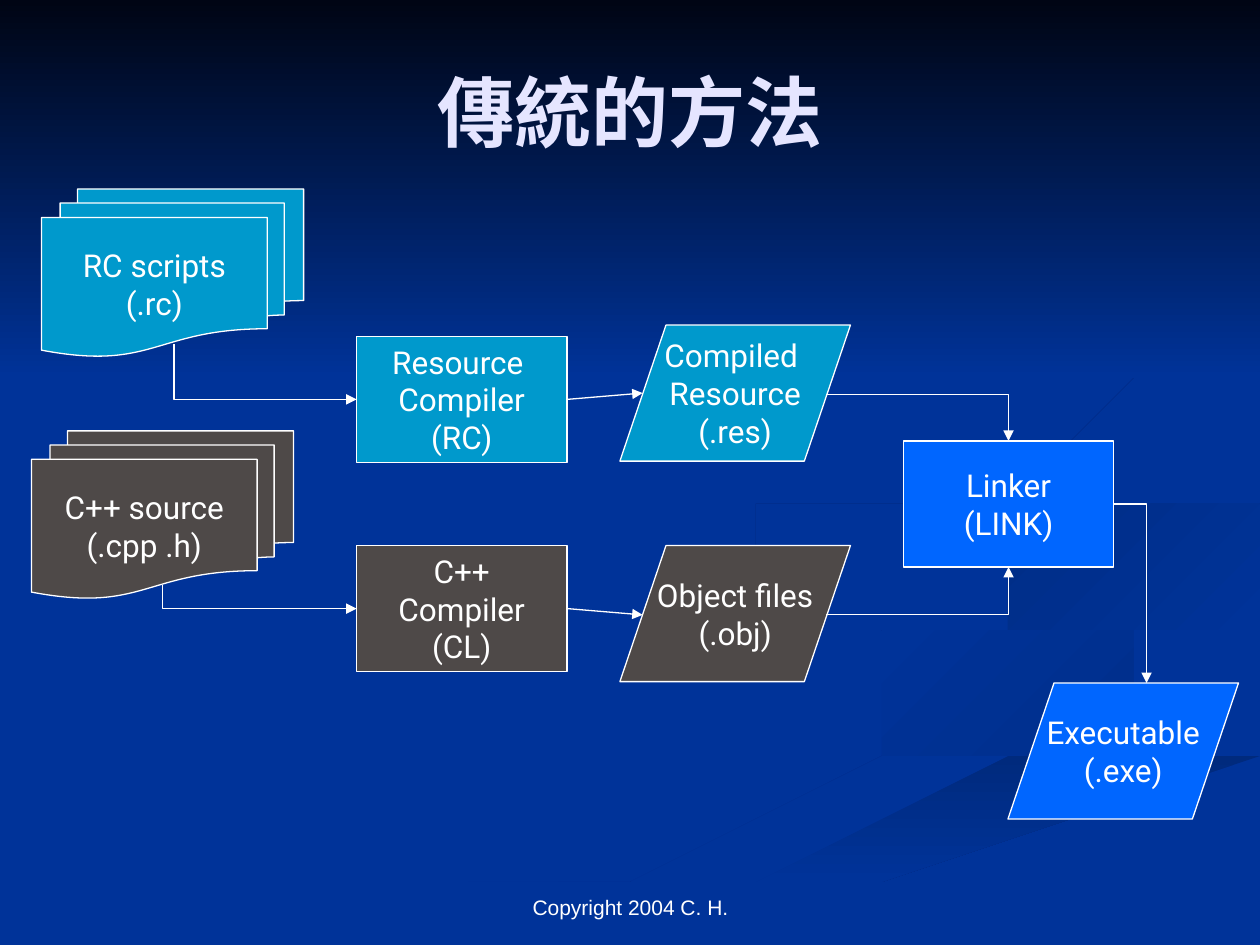
from lxml.etree import SubElement
from pptx import Presentation
from pptx.dml.color import RGBColor
from pptx.enum.shapes import MSO_CONNECTOR as Connector, MSO_SHAPE as Shape
from pptx.enum.text import MSO_ANCHOR as Anchor, PP_ALIGN as Align
from pptx.oxml.ns import qn
from pptx.util import Inches, Pt

COLORS = {
    "background": "003399", "night": "000514", "title": "E5E5FF", "text": "FFFFFF",
    "resource": "0099CC", "source": "4E4948", "link": "0066FF",
    "shade 1": "002E8B", "shade 2": "002A7D", "shade 3": "002D86", "shade 4": "002B82",
}

# Background ribbons: start colour, end colour, clockwise angle, outline
RIBBONS = [
    ("background", "shade 1", 0, [
        (7.8, 5.53), (6.6, 5.13), (5.75, 4.6), (5.8, 4.83), (7.4, 5.4), (7.86, 5.66),
        (7.3, 6.02), (4.6, 6.74), (3, 7.49), (3.6, 7.49), (5, 6.87), (7.6, 6.14), (8, 5.81)]),
    ("background", "shade 1", 45, [
        (9.43, 5.7), (9.05, 5.4), (7.6, 4.98), (7.24, 4.64), (7.55, 5.05), (8.8, 5.49),
        (9.18, 5.81), (8.94, 6.05)]),
    ("shade 2", "background", 90, [
        (5.03, 7.49), (5.7, 7.49), (7.2, 6.82), (9.98, 6.09), (9.98, 5.81), (7.6, 6.47),
        (6.3, 6.93)]),
    ("background", "background", 0, [
        (7.25, 4.64), (7.6, 4.98), (9.2, 5.47), (9.3, 5.9), (7.4, 6.43), (4.77, 7.49),
        (6.3, 6.93), (7.6, 6.47), (9.99, 5.81), (9.99, 5.38), (8.3, 4.98), (7.82, 4.6),
        (8.35, 4.3), (9.99, 4.02), (9.99, 3.87), (7.9, 4.22)]),
    ("shade 3", "background", 45, [
        (7.81, 4.6), (8.26, 4.96), (8.05, 4.72), (8.43, 4.48), (9.98, 4.2), (9.98, 4.02),
        (8.35, 4.3)]),
    ("shade 4", "background", 45, [
        (6.83, 4.3), (8.25, 4.02), (8.94, 3.44), (8.64, 2.91), (7.62, 2.33), (8.55, 2.85),
        (8.89, 3.35), (8.4, 3.78), (6.25, 4.26), (5.77, 4.62), (6.22, 5), (5.93, 4.7),
        (6.24, 4.44)]),
    ("night", "background", 90, [(0, 0), (0, 3.08), (10, 3.08), (10, 0)]),
]

SIZES = {
    Shape.FLOWCHART_MULTIDOCUMENT: (2.08, 1.33),
    Shape.FLOWCHART_PROCESS: (1.67, 1),
    Shape.FLOWCHART_DATA: (1.83, 1.08),
}
# name: (preset, left, top, fill, lines)
STEPS = {
    "scripts": (Shape.FLOWCHART_MULTIDOCUMENT, 0.33, 1.5, "resource", ["RC scripts", "(.rc)"]),
    "sources": (Shape.FLOWCHART_MULTIDOCUMENT, 0.25, 3.42, "source", ["C++ source", "(.cpp .h)"]),
    "rc": (Shape.FLOWCHART_PROCESS, 2.83, 2.67, "resource", ["Resource ", "Compiler", "(RC)"]),
    "cl": (Shape.FLOWCHART_PROCESS, 2.83, 4.33, "source", ["C++", "Compiler", "(CL)"]),
    "obj": (Shape.FLOWCHART_DATA, 4.92, 4.33, "source", ["Object files", "(.obj)"]),
    "res": (Shape.FLOWCHART_DATA, 4.92, 2.58, "resource", ["Compiled ", "Resource", "(.res)"]),
    "linker": (Shape.FLOWCHART_PROCESS, 7.17, 3.5, "link", ["Linker", "(LINK)"]),
    "exe": (Shape.FLOWCHART_DATA, 8, 5.42, "link", ["Executable", "(.exe)"]),
}

# (route, start, end, (step, side) joined at start, (step, side) joined at end)
ARROWS = [
    ("down first", (1.38, 2.73), (2.83, 3.17), None, ("rc", 1)),
    ("down first", (1.29, 4.64), (2.83, 4.83), None, ("cl", 1)),
    ("straight", (4.5, 3.17), (5.1, 3.12), ("rc", 3), None),
    ("straight", (4.5, 4.83), (5.1, 4.88), ("cl", 3), None),
    ("across first", (6.56, 3.13), (8, 3.5), None, ("linker", 0)),
    ("across first", (6.56, 4.88), (8, 4.5), None, ("linker", 2)),
    ("across first", (8.83, 4), (9.1, 5.42), ("linker", 3), None),
]


def rgb(name):
    return RGBColor.from_string(COLORS[name])


def write(shape, lines, size=18, font="Roboto", color="text", bold=False,
          anchor=Anchor.MIDDLE, wrap=False):
    frame = shape.text_frame
    frame.word_wrap = wrap
    frame.vertical_anchor = anchor
    for index, line in enumerate(lines):
        paragraph = frame.add_paragraph() if index else frame.paragraphs[0]
        paragraph.alignment = Align.CENTER
        run = paragraph.add_run()
        run.text = line
        run.font.size, run.font.name, run.font.bold = Pt(size), font, bold
        run.font.color.rgb = rgb(color)


def add_ribbon(slide, start, end, angle, points):
    builder = slide.shapes.build_freeform(*points[0], scale=Inches(1))
    builder.add_line_segments(points[1:], close=True)
    ribbon = builder.convert_to_shape()
    ribbon.shadow.inherit = False
    ribbon.line.fill.background()
    if start == end:
        ribbon.fill.solid()
        ribbon.fill.fore_color.rgb = rgb(start)
        return
    ribbon.fill.gradient()
    ribbon.fill.gradient_angle = -angle % 360
    for stop, color in zip(ribbon.fill.gradient_stops, (start, end)):
        stop.color.rgb = rgb(color)


def add_step(slide, preset, left, top, fill, lines):
    shape = slide.shapes.add_shape(preset, *map(Inches, (left, top, *SIZES[preset])))
    shape.shadow.inherit = False
    shape.fill.solid()
    shape.fill.fore_color.rgb = rgb(fill)
    shape.line.color.rgb = rgb("text")
    shape.line.width = Pt(0.75)
    write(shape, lines)
    return shape


def add_arrow(slide, steps, route, start, end, start_joint, end_joint):
    kind = Connector.STRAIGHT if route == "straight" else Connector.ELBOW
    arrow = slide.shapes.add_connector(kind, *map(Inches, start + end))
    if start_joint:
        arrow.begin_connect(steps[start_joint[0]], start_joint[1])
    if end_joint:
        arrow.end_connect(steps[end_joint[0]], end_joint[1])
    arrow.line.color.rgb = rgb("text")
    arrow.line.width = Pt(0.75)
    properties = arrow._element.spPr
    SubElement(properties.find(qn("a:ln")), qn("a:tailEnd"), type="triangle")
    SubElement(properties, qn("a:effectLst"))
    if route != "straight":
        properties.find(qn("a:prstGeom")).set("prst", "bentConnector2")
    if route == "down first":
        # A one-bend connector runs across first, so it is turned and mirrored
        width, height = arrow.width, arrow.height
        arrow.left += (width - height) // 2
        arrow.top += (height - width) // 2
        arrow.width, arrow.height = height, width
        transform = properties.find(qn("a:xfrm"))
        transform.set("rot", str(270 * 60000))
        transform.set("flipH", "1")


def main():
    presentation = Presentation()
    presentation.slide_width, presentation.slide_height = Inches(10), Inches(7.5)
    slide = presentation.slides.add_slide(presentation.slide_layouts[6])
    slide.background.fill.solid()
    slide.background.fill.fore_color.rgb = rgb("background")
    for ribbon in RIBBONS:
        add_ribbon(slide, *ribbon)

    footer = slide.shapes.add_textbox(*map(Inches, (3.42, 6.83, 3.17, 0.52)))
    write(footer, ["Copyright 2004 C. H."], size=12, font="Arial", anchor=Anchor.BOTTOM, wrap=True)
    title = slide.shapes.add_textbox(*map(Inches, (0.33, 0.25, 9.34, 1.25)))
    write(title, ["傳統的方法"], size=44, font="Times New Roman", color="title", bold=True, wrap=True)

    steps = {name: add_step(slide, *step) for name, step in STEPS.items()}
    for arrow in ARROWS:
        add_arrow(slide, steps, *arrow)
    presentation.save("out.pptx")


if __name__ == "__main__":
    main()
